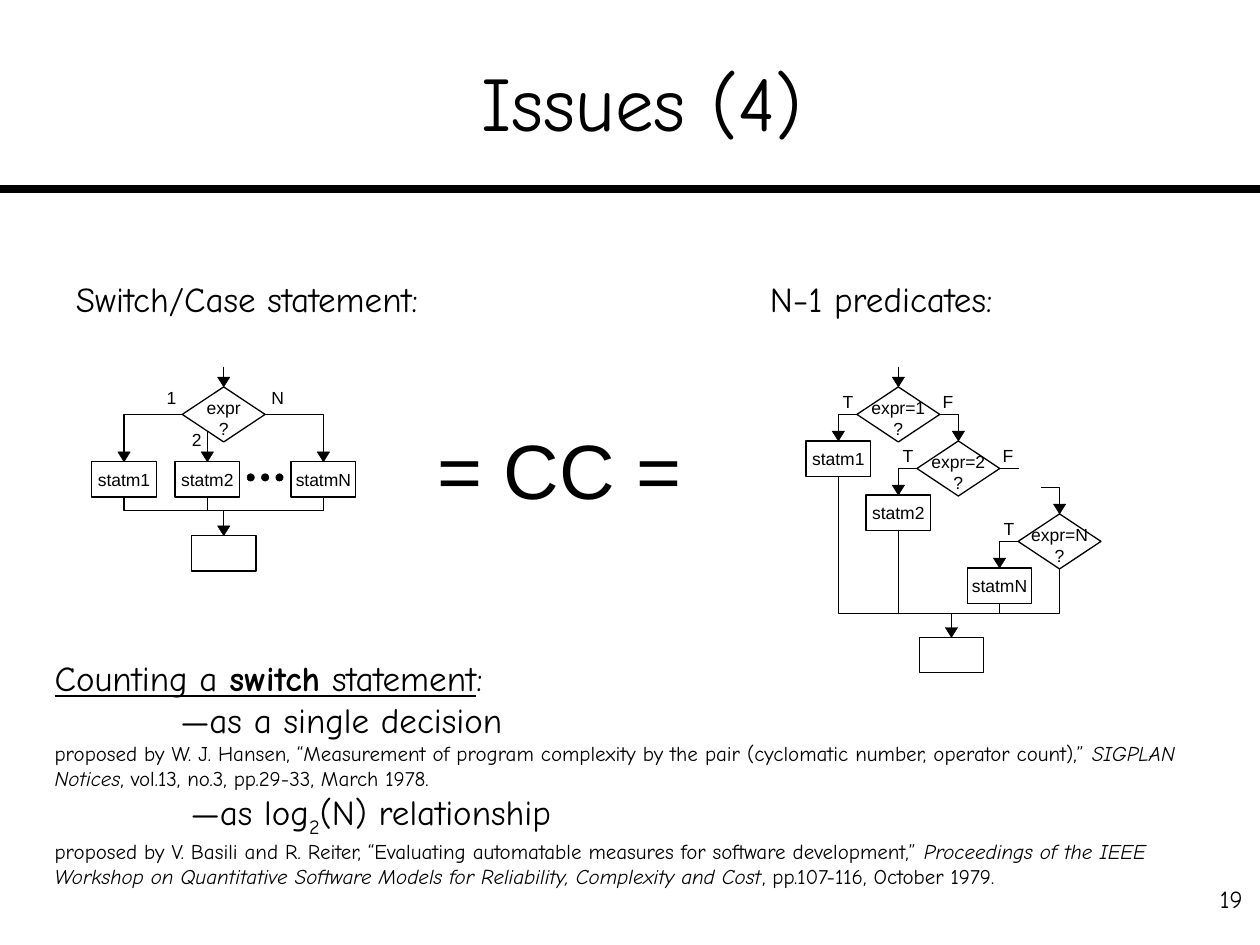
"""Build the slide that compares a switch statement with a chain of predicates."""
from lxml.etree import SubElement
from pptx import Presentation
from pptx.dml.color import RGBColor
from pptx.enum.shapes import MSO_CONNECTOR as LINK, MSO_SHAPE as SHAPE
from pptx.enum.text import MSO_ANCHOR as ANCHOR, MSO_AUTO_SIZE as FIT, PP_ALIGN as ALIGN
from pptx.oxml.ns import qn
from pptx.util import Cm, Pt

COLORS = {"ink": "000000", "paper": "FFFFFF"}
HAND, SANS = "Comic Neue", "Arial"

TITLE = "Issues (4)"
PAGE = "19"
HEADINGS = [
    ("Switch/Case statement:", (1.5, 5.59, 8, 0.84), HAND, 20),
    ("N−1 predicates:", (15.49, 5.59, 5.26, 0.84), HAND, 20),
    ("= CC =", (8.79, 8.51, 5.41, 1.85), SANS, 44),
]
SMALL, SMALL_ITALIC = {"size": 12}, {"size": 12, "italic": True}
COUNTING = [
    (0, [("Counting a ", {"underline": True}),
         ("switch", {"underline": True, "bold": True}),
         (" statement", {"underline": True}), (":", {})]),
    (2.54, [("—as a single decision", {})]),
    (0, [("proposed by W. J. Hansen, “Measurement of program complexity by the pair "
          "(cyclomatic number, operator count),” ", SMALL),
         ("SIGPLAN Notices", SMALL_ITALIC),
         (", vol.13, no.3, pp.29-33, March 1978.", SMALL)]),
    (2.75, [("—as log", {}), ("2", {"baseline": -25}), ("(N) relationship", {})]),
    (0, [("proposed by V. Basili and R. Reiter, “Evaluating automatable measures for "
          "software development,” ", SMALL),
         ("Proceedings of the IEEE Workshop on Quantitative Software Models for "
          "Reliability, Complexity and Cost", SMALL_ITALIC),
         (", pp.107-116, October 1979.", SMALL)]),
]

DECISION_W, DECISION_H = 1.67, 1.11
STATEMENT_W, STATEMENT_H = 1.3, 0.71
HEAD_W, HEAD_H = 0.25, 0.2
STEP_X, STEP_Y = 1.21, 1.09
DOT, DOT_GAP = 0.15, 0.29
TOP = 7.8

SWITCH_X, BRANCH_Y, SWITCH_BUS, SWITCH_END = 4.51, 9.31, 10.29, 10.8
BRANCHES = [("statm1", 2.5), ("statm2", 4.18), ("statmN", 6.52)]
BRANCH_LABELS = [("1", 3.33, 7.8), ("2", 3.84, 8.64), ("N", 5.44, 7.8)]
DOTS_X, DOTS_Y = 4.98, 9.55

CHAIN_X, CHAIN_BUS, CHAIN_END_X, CHAIN_END = 18.11, 12.37, 19.18, 12.85
PREDICATES = [
    ("expr=1", "statm1", CHAIN_X, TOP),
    ("expr=2", "statm2", CHAIN_X + STEP_X, TOP + STEP_Y),
    ("expr=N", "statmN", 21.36, 10.36),
]

deck = Presentation()
deck.slide_width, deck.slide_height = Cm(25.4), Cm(19.05)
slide = deck.slides.add_slide(deck.slide_layouts[1])
shapes = slide.shapes


def color(name):
    return RGBColor.from_string(COLORS[name])


def write(frame, paragraphs, font=SANS, size=10, align=ALIGN.LEFT, anchor=ANCHOR.TOP,
          wrap=False, fit=FIT.NONE, insets=(0.03, 0, 0.03, 0)):
    frame.word_wrap, frame.auto_size, frame.vertical_anchor = wrap, fit, anchor
    (frame.margin_left, frame.margin_top,
     frame.margin_right, frame.margin_bottom) = map(Cm, insets)
    for index, (indent, runs) in enumerate(paragraphs):
        paragraph = frame.add_paragraph() if index else frame.paragraphs[0]
        paragraph.alignment = align
        paragraph.space_before = Pt(0)
        properties = paragraph._p.get_or_add_pPr()
        properties.set("marL", "0")
        properties.set("indent", str(Cm(indent)))
        SubElement(properties, qn("a:buNone"))
        for words, style in runs:
            run = paragraph.add_run()
            run.text = words
            run.font.name, run.font.size = font, Pt(style.get("size", size))
            run.font.color.rgb = color("ink")
            run.font.bold = style.get("bold", False)
            run.font.italic = style.get("italic", False)
            run.font.underline = style.get("underline", False)
            if "baseline" in style:
                run.font._element.set("baseline", str(style["baseline"] * 1000))


def plain(*lines):
    return [(0, [(line, {})]) for line in lines]


def place(part, box):
    part.left, part.top, part.width, part.height = map(Cm, box)


def label(words, box, **style):
    style = {"fit": FIT.SHAPE_TO_FIT_TEXT, **style}
    write(shapes.add_textbox(*map(Cm, box)).text_frame, plain(words), **style)


def link(start, end, weight=0.75):
    straight = start[0] == end[0] or start[1] == end[1]
    kind = LINK.STRAIGHT if straight else LINK.ELBOW
    line = shapes.add_connector(kind, *map(Cm, start + end))
    line.line.color.rgb, line.line.width = color("ink"), Pt(weight)
    properties = line._element.spPr
    if not straight:
        properties.find(qn("a:prstGeom")).set("prst", "bentConnector2")
    SubElement(properties, qn("a:effectLst"))


def node(kind, box, fill="paper", weight=0.75, lines=(), insets=(0.25, 0.13, 0.25, 0.13)):
    part = shapes.add_shape(kind, *map(Cm, box))
    part.shadow.inherit = False
    part.fill.solid()
    part.fill.fore_color.rgb = color(fill)
    part.line.color.rgb, part.line.width = color("ink"), Pt(weight)
    if lines:
        write(part.text_frame, plain(*lines), align=ALIGN.CENTER,
              anchor=ANCHOR.MIDDLE, insets=insets)
    return part


def arrow(start, tip):
    x, y = tip
    link(start, (x, y - HEAD_H))
    head = node(SHAPE.ISOSCELES_TRIANGLE, (x - HEAD_W / 2, y - HEAD_H, HEAD_W, HEAD_H),
                "ink", 0.25)
    head.rotation = 180


def decision(words, x, y):
    node(SHAPE.FLOWCHART_DECISION, (x - DECISION_W / 2, y, DECISION_W, DECISION_H),
         lines=(words, "?"), insets=(0.25, 0.15, 0.25, 0))


def statement(words, x, y):
    node(SHAPE.FLOWCHART_PROCESS, (x - STATEMENT_W / 2, y, STATEMENT_W, STATEMENT_H),
         lines=(words,))


def finish(x, bus, y):
    arrow((x, bus), (x, y))
    node(SHAPE.RECTANGLE, (x - STATEMENT_W / 2, y, STATEMENT_W, STATEMENT_H))


def draw_switch():
    arrow((SWITCH_X, 7.39), (SWITCH_X, TOP))
    for words, x in BRANCHES:
        side = (x > SWITCH_X) - (x < SWITCH_X)
        corner = SWITCH_X + side * DECISION_W / 2
        middle = abs(x - SWITCH_X) < DECISION_W / 2
        start = (x, 8.69) if middle else (corner, TOP + DECISION_H / 2)
        arrow(start, (x, BRANCH_Y))
        link((SWITCH_X, SWITCH_BUS), (x, BRANCH_Y + STATEMENT_H))
        statement(words, x, BRANCH_Y)
    decision("expr", SWITCH_X, TOP)
    for words, x, y in BRANCH_LABELS:
        label(words, (x, y, 0.28, 0.43))
    for index in range(3):
        node(SHAPE.OVAL, (DOTS_X + index * DOT_GAP, DOTS_Y, DOT, DOT), "ink", 0.25)
    finish(SWITCH_X, SWITCH_BUS, SWITCH_END)


def draw_chain():
    arrow((CHAIN_X, 7.39), (CHAIN_X, TOP))
    for index, (test, words, x, y) in enumerate(PREDICATES):
        left, right, middle = x - DECISION_W / 2, x + DECISION_W / 2, y + DECISION_H / 2
        target = (x - STEP_X, y + STEP_Y)
        arrow((left, middle), target)
        link((CHAIN_END_X, CHAIN_BUS), (target[0], target[1] + STATEMENT_H))
        label("T", (left - 0.32, y + 0.08, 0.28, 0.43))
        if index < 2:
            label("F", (right + 0.03, y + 0.08, 0.28, 0.43))
        if index == 0:
            arrow((right, middle), (x + STEP_X, y + STEP_Y))
        elif index == 1:
            link((right, middle), (right + 0.39, middle))
        else:
            arrow((x - 0.38, y - 0.53), (x, y))
            link((CHAIN_END_X, CHAIN_BUS), (x, y + DECISION_H))
        decision(test, x, y)
        statement(words, *target)
    finish(CHAIN_END_X, CHAIN_BUS, CHAIN_END)


link((0, 3.81), (25.4, 3.81), 4.5)
heading, counting = shapes.title, slide.placeholders[1]
place(heading, (0.89, 0.43, 24.1, 3.18))
write(heading.text_frame, plain(TITLE), font=HAND, size=44, align=ALIGN.CENTER,
      anchor=ANCHOR.MIDDLE, wrap=True, insets=(0.25, 0.13, 0.25, 0.13))
place(counting, (1.07, 13.23, 23.42, 4.57))
write(counting.text_frame, COUNTING, font=HAND, size=20, wrap=True)
for words, box, font, size in HEADINGS:
    label(words, box, font=font, size=size)
draw_switch()
draw_chain()
label(PAGE, (24, 17.7, 1.3, 1.27), font=HAND, size=14, align=ALIGN.RIGHT, wrap=True,
      fit=FIT.NONE, insets=(0.25, 0.13, 0.25, 0.13))
deck.save("out.pptx")
